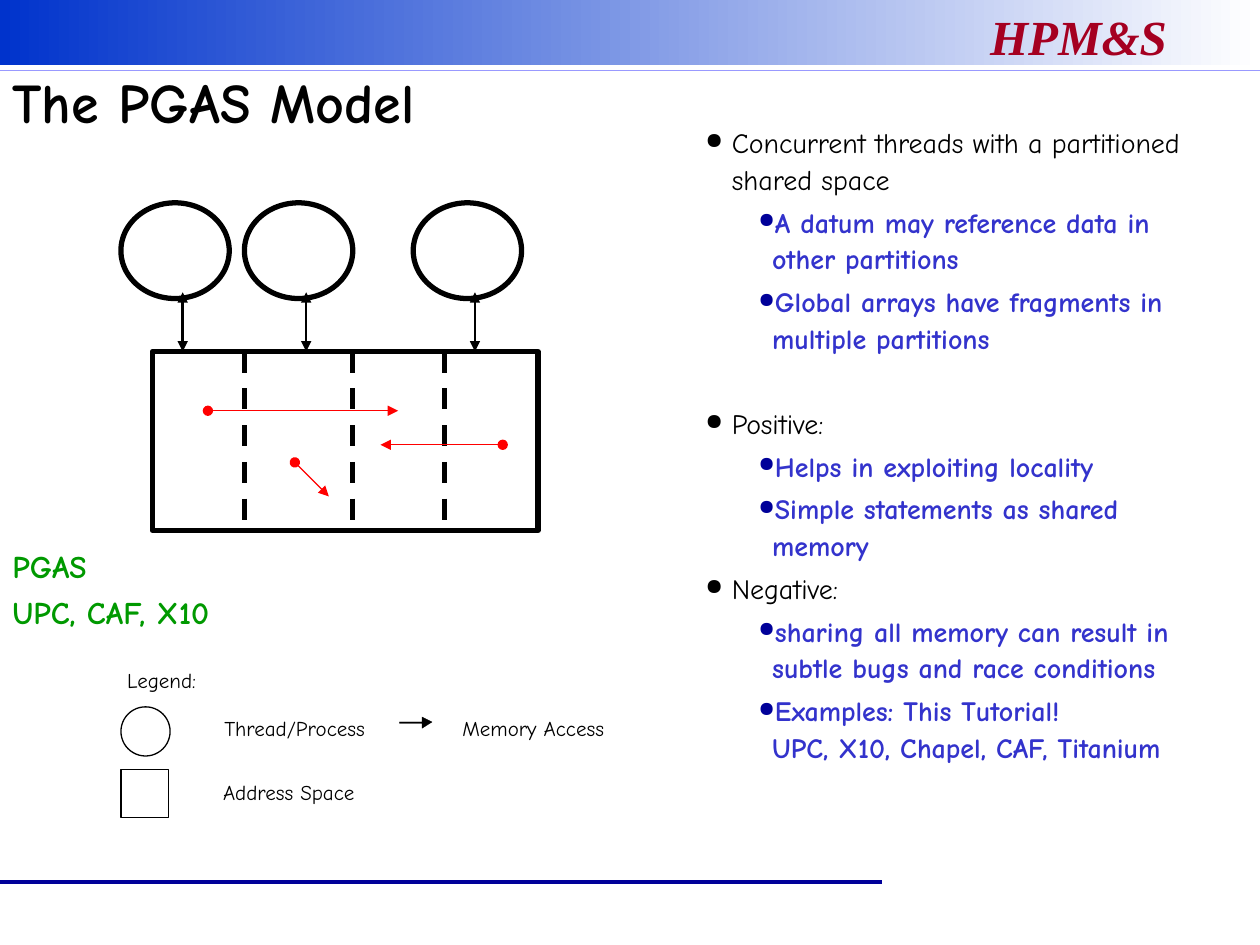
from lxml.etree import SubElement
from pptx import Presentation
from pptx.dml.color import RGBColor
from pptx.enum.dml import MSO_LINE
from pptx.enum.shapes import MSO_CONNECTOR, MSO_SHAPE
from pptx.enum.text import MSO_ANCHOR
from pptx.oxml.ns import qn
from pptx.util import Inches, Pt

COLORS = {
    "black": "000000", "white": "FFFFFF", "banner": "0033CC", "rule": "9999FF",
    "navy": "000099", "blue": "3333CC", "green": "009900", "red": "FF0000",
    "crimson": "A50021",
}
POINTS = [
    (0, "Concurrent threads with a partitioned shared space"),
    (1, "A datum may reference data in other partitions"),
    (1, "Global arrays have fragments in multiple partitions"),
    (0, "Positive:"),
    (1, "Helps in exploiting locality"),
    (1, "Simple statements as shared memory"),
    (0, "Negative:"),
    (1, "sharing all memory can result in subtle bugs and race conditions"),
    (1, "Examples: This Tutorial!\nUPC, X10, Chapel, CAF, Titanium"),
]
LEVELS = [
    {"color": "black", "bold": False, "bullet": "black", "size": 80, "left": 0.21, "hang": 0.21},
    {"color": "blue", "bold": True, "bullet": "navy", "size": 75, "left": 0.53, "hang": 0.11},
]


class SlideBuilder:
    """Hold the style and the current slide, and draw each kind of element."""

    def __init__(self, slide, font="Comic Neue"):
        self.slide = slide
        self.font = font

    def color(self, name):
        return RGBColor.from_string(COLORS[name])

    def outline(self, shape, color, width):
        shape.line.color.rgb = self.color(color)
        shape.line.width = Pt(width)

    def shape(self, kind, left, top, width, height, fill=None, line=None):
        shape = self.slide.shapes.add_shape(
            kind, Inches(left), Inches(top), Inches(width), Inches(height))
        shape.shadow.inherit = False
        if fill:
            shape.fill.solid()
            shape.fill.fore_color.rgb = self.color(fill)
        else:
            shape.fill.background()
        if line:
            self.outline(shape, "black", line)
        else:
            shape.line.fill.background()
        return shape

    def banner(self, width, height):
        shape = self.shape(MSO_SHAPE.RECTANGLE, 0, 0, width, height)
        shape.fill.gradient()
        shape.fill.gradient_angle = 0
        for stop, color, position in zip(shape.fill.gradient_stops, ("banner", "white"), (0, 1)):
            stop.color.rgb = self.color(color)
            stop.position = position

    def line(self, start, end, color="black", width=1.5, head=None, tail=None, dash=None):
        connector = self.slide.shapes.add_connector(
            MSO_CONNECTOR.STRAIGHT, *(Inches(value) for value in (*start, *end)))
        self.outline(connector, color, width)
        if dash:
            connector.line.dash_style = dash
        properties = connector._element.spPr
        for tag, ending in (("a:headEnd", head), ("a:tailEnd", tail)):
            if ending:
                SubElement(properties.find(qn("a:ln")), qn(tag), type=ending)
        SubElement(properties, qn("a:effectLst"))

    def block_arrow(self, points):
        builder = self.slide.shapes.build_freeform(
            Inches(points[0][0]), Inches(points[0][1]), scale=1.0)
        builder.add_line_segments([(Inches(x), Inches(y)) for x, y in points[1:]])
        shape = builder.convert_to_shape()
        shape.shadow.inherit = False
        shape.fill.solid()
        shape.fill.fore_color.rgb = self.color("black")
        self.outline(shape, "black", 0.13)

    def frame(self, left, top, width, height, wrap=True, inset=True):
        box = self.slide.shapes.add_textbox(
            Inches(left), Inches(top), Inches(width), Inches(height))
        frame = box.text_frame
        frame.word_wrap = wrap
        if not inset:
            frame.margin_left = frame.margin_right = 0
            frame.margin_top = frame.margin_bottom = 0
        return frame

    def run(self, paragraph, text, size, color="black", bold=False, italic=False, font=None):
        for index, part in enumerate(text.split("\n")):
            if index:
                paragraph.add_line_break()
            run = paragraph.add_run()
            run.text = part
            run.font.name = font or self.font
            run.font.size = Pt(size)
            run.font.bold = bold
            run.font.italic = italic
            run.font.color.rgb = self.color(color)

    def label(self, text, left, top, width):
        frame = self.frame(left, top, width, 0.21, wrap=False, inset=False)
        frame.paragraphs[0].line_spacing = 1.1
        self.run(frame.paragraphs[0], text, 12)

    def bullets(self, frame, points):
        previous = 0
        for index, (level, text) in enumerate(points):
            style = LEVELS[level]
            paragraph = frame.paragraphs[0] if index == 0 else frame.add_paragraph()
            paragraph.level = level
            properties = paragraph._p.get_or_add_pPr()
            properties.set("marL", str(Inches(style["left"])))
            properties.set("indent", str(-Inches(style["hang"])))
            bullet_color = SubElement(properties, qn("a:buClr"))
            SubElement(bullet_color, qn("a:srgbClr"), val=COLORS[style["bullet"]])
            SubElement(properties, qn("a:buSzPct"), val=str(style["size"] * 1000))
            SubElement(properties, qn("a:buChar"), char="●")
            paragraph.line_spacing = 1.1
            if index:
                paragraph.space_before = Pt(27.5 if text == "Positive:" else 3.3)
            self.run(paragraph, text, 16, style["color"], style["bold"])


def main():
    presentation = Presentation()
    presentation.slide_width = Inches(10)
    presentation.slide_height = Inches(7.5)
    builder = SlideBuilder(presentation.slides.add_slide(presentation.slide_layouts[6]))

    builder.banner(10, 0.52)
    builder.line((0, 7), (7, 7), "navy", 2.25)
    header = builder.frame(7.76, 0, 3.25, 0.57)
    builder.run(header.paragraphs[0], "HPM&S", 28, "crimson", True, True, "Times New Roman")
    builder.line((0, 0.56), (10, 0.56), "rule", 1)

    title = builder.frame(0, 0.45, 10, 0.7)
    title.vertical_anchor = MSO_ANCHOR.MIDDLE
    builder.run(title.paragraphs[0], "The PGAS Model", 32, bold=True)
    builder.bullets(builder.frame(5.5, 0.92, 4.29, 6.49), POINTS)

    builder.shape(MSO_SHAPE.OVAL, 0.96, 5.61, 0.39, 0.39, "white", 0.75)
    builder.shape(MSO_SHAPE.RECTANGLE, 0.96, 6.11, 0.38, 0.38, "white", 0.75)
    builder.label("Legend:", 1.01, 5.28, 0.6)
    builder.label("Thread/Process", 1.78, 5.66, 1.25)
    builder.label("Address Space", 1.77, 6.17, 1.18)
    builder.label("Memory Access", 3.67, 5.66, 1.23)
    builder.block_arrow([(3.17, 5.73), (3.35, 5.73), (3.35, 5.69), (3.43, 5.73),
                         (3.35, 5.78), (3.35, 5.74), (3.17, 5.74)])

    memory_top, memory_height = 2.79, 1.42
    builder.shape(MSO_SHAPE.RECTANGLE, 1.21, memory_top, 3.06, memory_height, line=3)
    for left in (0.96, 1.94, 3.28):
        builder.shape(MSO_SHAPE.OVAL, left, 1.61, 0.86, 0.76, line=3)
        access = left + 0.49
        builder.line((access, 2.32), (access, memory_top), head="triangle", tail="triangle")
    for x in (1.94, 2.8, 3.53):
        builder.line((x, memory_top), (x, memory_top + memory_height),
                     width=3, dash=MSO_LINE.DASH)
    for start, end in (((1.65, 3.26), (3.16, 3.26)),
                       ((3.99, 3.53), (3.02, 3.53)),
                       ((2.34, 3.67), (2.61, 3.94))):
        builder.line(start, end, "red", 0.75, "oval", "triangle")

    languages = builder.frame(0, 4.35, 5.5, 0.73)
    first, second = languages.paragraphs[0], languages.add_paragraph()
    second.space_before = Pt(9)
    for paragraph, text in ((first, "PGAS"), (second, "UPC, CAF, X10")):
        paragraph.line_spacing = 0.8
        builder.run(paragraph, text, 18, "green", True)

    presentation.save("out.pptx")


if __name__ == "__main__":
    main()
